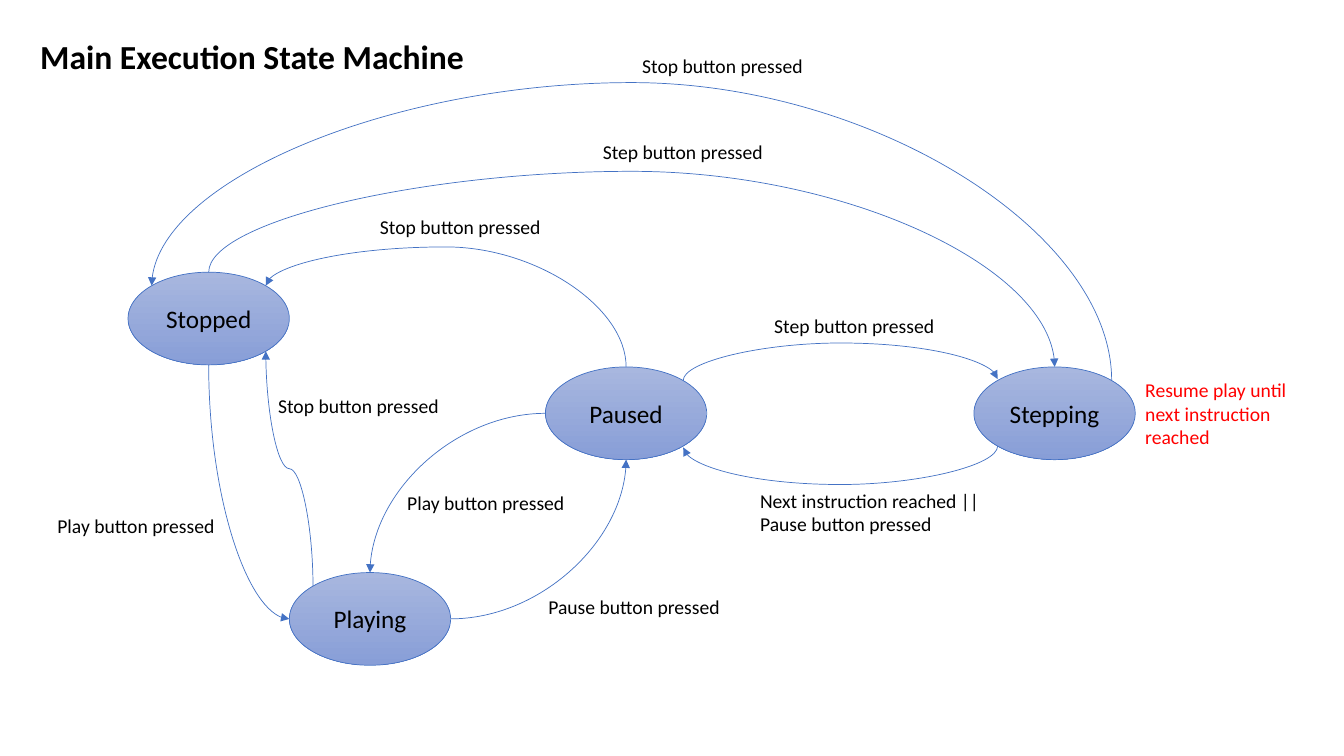
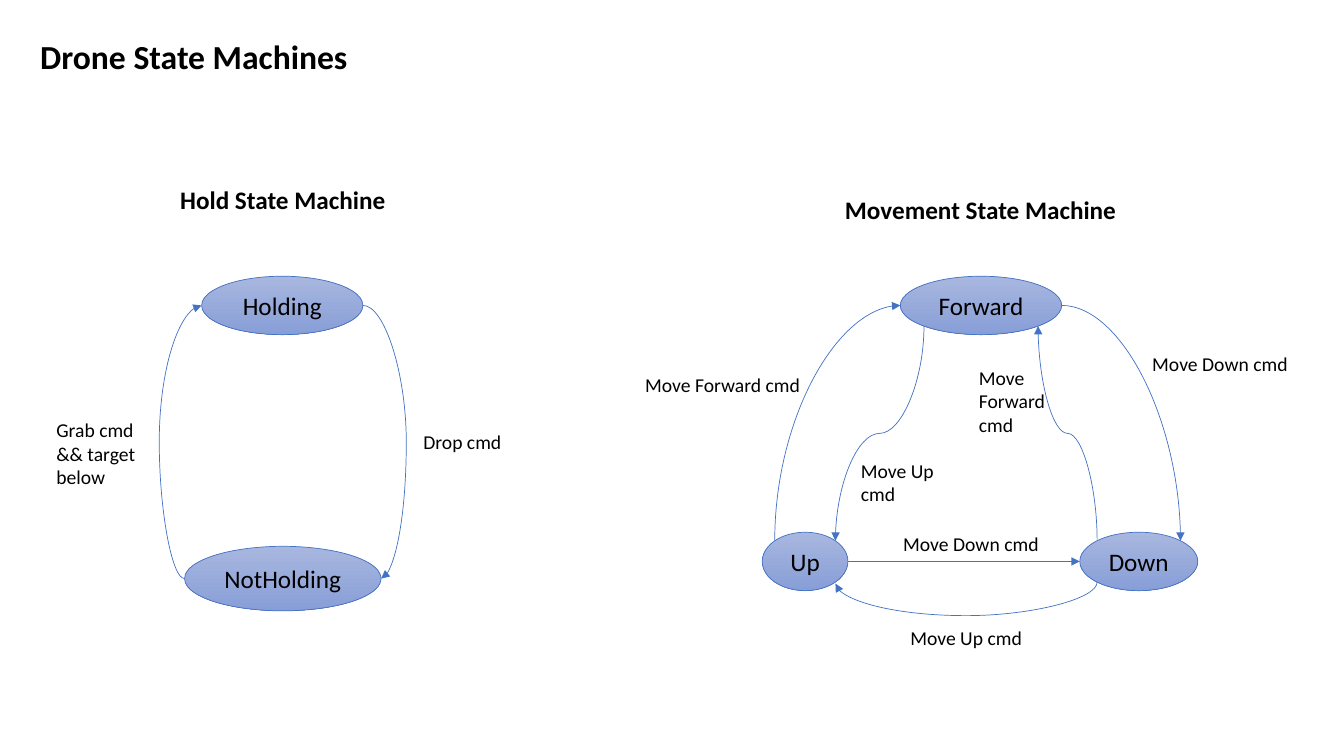
import math

import lxml.etree
import pptx
import pptx.dml.color
import pptx.enum.shapes
import pptx.enum.text
import pptx.oxml.ns
import pptx.util

Inches = pptx.util.Inches
qn = pptx.oxml.ns.qn
PP_ALIGN = pptx.enum.text.PP_ALIGN
CONNECTOR = pptx.enum.shapes.MSO_CONNECTOR

COLORS = {
    "text": "000000",
    "note": "FF0000",
    "line": "4472C4",
    "state_top": "A8B7DF",
    "state_bottom": "889ED7",
}
FONT = "Calibri"
LINE_WIDTH = pptx.util.Pt(0.5)
MIN_SPAN = 12700

TOP, TOP_LEFT, LEFT, BOTTOM_LEFT, BOTTOM, BOTTOM_RIGHT, RIGHT, TOP_RIGHT = range(8)


def rgb(name):
    return pptx.dml.color.RGBColor.from_string(COLORS[name])


def add_run(p, text, size, color="text", bold=False):
    r = p.add_run()
    r.text = text
    r.font.name = FONT
    r.font.size = pptx.util.Pt(size)
    r.font.bold = bold
    r.font.color.rgb = rgb(color)


def add_text(slide, x, y, w, h, text, size=14, color="text", bold=False,
             align=PP_ALIGN.LEFT, wrap=False):
    sp = slide.shapes.add_textbox(Inches(x), Inches(y), Inches(w), Inches(h))
    tf = sp.text_frame
    tf.word_wrap = wrap
    tf.auto_size = pptx.enum.text.MSO_AUTO_SIZE.SHAPE_TO_FIT_TEXT
    for i, line in enumerate(text.split("\n")):
        p = tf.add_paragraph() if i else tf.paragraphs[0]
        p.alignment = align
        add_run(p, line, size, color, bold)


def add_title(slide, w, text):
    add_text(slide, 0.3, 0.31, w, 0.5, text, size=24, bold=True)


def add_heading(slide, x, y, w, text):
    add_text(slide, x, y, w, 0.4, text, size=18, bold=True, align=PP_ALIGN.CENTER)


def add_labels(slide, labels):
    for x, y, w, text in labels:
        add_text(slide, x, y, w, 0.34, text)


def add_state(slide, x, y, text, w=1.6, h=0.92):
    sp = slide.shapes.add_shape(pptx.enum.shapes.MSO_SHAPE.OVAL,
                                Inches(x), Inches(y), Inches(w), Inches(h))
    sp.shadow.inherit = False
    sp.fill.gradient()
    sp.fill.gradient_angle = 270
    for stop, name in zip(sp.fill.gradient_stops, ("state_top", "state_bottom")):
        stop.color.rgb = rgb(name)
    sp.line.color.rgb = rgb("line")
    sp.line.width = LINE_WIDTH
    tf = sp.text_frame
    tf.word_wrap = True
    tf.vertical_anchor = pptx.enum.text.MSO_ANCHOR.MIDDLE
    p = tf.paragraphs[0]
    p.alignment = PP_ALIGN.CENTER
    add_run(p, text, 18)
    return sp


def site_point(sp, site):
    angle = math.radians(90 + 45 * site)
    return (sp.left + sp.width / 2 * (1 + math.cos(angle)),
            sp.top + sp.height / 2 * (1 - math.sin(angle)))


def finish_arrow(c, start, start_site, end, end_site):
    c.line.color.rgb = rgb("line")
    c.line.width = LINE_WIDTH
    sppr = c.element.spPr
    lxml.etree.SubElement(sppr.find(qn("a:ln")), qn("a:tailEnd"), type="triangle")
    lxml.etree.SubElement(sppr, qn("a:effectLst"))
    joints = c.element.find(".//" + qn("p:cNvCxnSpPr"))
    for tag, sp, site in (("a:stCxn", start, start_site), ("a:endCxn", end, end_site)):
        lxml.etree.SubElement(joints, qn(tag), id=str(sp.shape_id), idx=str(site))


def add_straight(slide, start, start_site, end, end_site):
    points = site_point(start, start_site) + site_point(end, end_site)
    c = slide.shapes.add_connector(CONNECTOR.STRAIGHT, *map(round, points))
    finish_arrow(c, start, start_site, end, end_site)


def add_curve(slide, start, start_site, end, end_site, bend=None):
    x1, y1 = site_point(start, start_site)
    x2, y2 = site_point(end, end_site)
    dx, dy = x2 - x1, y2 - y1
    sideways = start_site in (LEFT, RIGHT)
    adjust = None
    if bend is not None:
        reach = Inches(bend) - (x1 if sideways else y1)
        span = dx if sideways else dy
        if abs(span) < MIN_SPAN:
            span = math.copysign(MIN_SPAN, reach)
        adjust = reach / span
        dx, dy = (span, dy) if sideways else (dx, span)

    if sideways:
        turned = start_site == LEFT
        rot = 180 if turned else 0
        flip_h, flip_v = (dx < 0) != turned, (dy < 0) != turned
        w, h = abs(dx), abs(dy)
    else:
        rot = 90 if dx * dy < 0 else 270
        flip_h, flip_v = dx > 0, dy < 0
        w, h = abs(dy), abs(dx)

    left, top = x1 + dx / 2 - w / 2, y1 + dy / 2 - h / 2
    c = slide.shapes.add_connector(CONNECTOR.CURVE, *map(round, (left, top, left + w, top + h)))
    xfrm = c.element.spPr.find(qn("a:xfrm"))
    xfrm.set("rot", str(rot * 60000))
    xfrm.set("flipH", str(int(flip_h)))
    xfrm.set("flipV", str(int(flip_v)))
    geom = c.element.spPr.find(qn("a:prstGeom"))
    if adjust is None:
        geom.set("prst", "curvedConnector2")
    else:
        lxml.etree.SubElement(geom.find(qn("a:avLst")), qn("a:gd"),
                              name="adj1", fmla=f"val {round(adjust * 100000)}")
    finish_arrow(c, start, start_site, end, end_site)


def build_execution(slide):
    add_title(slide, 4.45, "Main Execution State Machine")
    stopped = add_state(slide, 1.27, 2.7, "Stopped")
    playing = add_state(slide, 2.87, 5.68, "Playing")
    paused = add_state(slide, 5.41, 3.64, "Paused")
    stepping = add_state(slide, 9.66, 3.64, "Stepping")

    for curve in (
        (stopped, BOTTOM, playing, LEFT),
        (playing, RIGHT, paused, BOTTOM),
        (paused, LEFT, playing, TOP),
        (paused, TOP, stopped, TOP_RIGHT, 2.45),
        (paused, TOP_RIGHT, stepping, TOP_LEFT, 3.4),
        (stepping, BOTTOM_LEFT, paused, BOTTOM_RIGHT, 4.81),
        (stopped, TOP, stepping, TOP, 1.7),
        (playing, TOP_LEFT, stopped, BOTTOM_RIGHT, 4.65),
        (stepping, TOP_RIGHT, stopped, TOP_LEFT, 0.82),
    ):
        add_curve(slide, *curve)

    add_labels(slide, (
        (0.47, 5.05, 1.78, "Play button pressed"),
        (5.34, 5.85, 1.93, "Pause button pressed"),
        (3.67, 2.08, 1.82, "Stop button pressed"),
        (3.94, 4.82, 1.78, "Play button pressed"),
        (7.58, 3.07, 1.81, "Step button pressed"),
        (5.88, 1.34, 1.81, "Step button pressed"),
        (2.66, 3.86, 1.82, "Stop button pressed"),
        (6.27, 0.49, 1.82, "Stop button pressed"),
    ))
    add_text(slide, 7.44, 4.8, 2.4, 0.57,
             "Next instruction reached ||\nPause button pressed")
    add_text(slide, 11.26, 3.7, 1.72, 0.81,
             "Resume play until next instruction reached", color="note", wrap=True)


def build_drone(slide):
    add_title(slide, 3.28, "Drone State Machines")

    add_heading(slide, 1.68, 1.78, 2.25, "Hold State Machine")
    holding = add_state(slide, 2, 2.74, "Holding", h=0.58)
    not_holding = add_state(slide, 1.83, 5.42, "NotHolding", w=1.95, h=0.64)

    add_heading(slide, 8.27, 1.88, 2.91, "Movement State Machine")
    forward = add_state(slide, 8.93, 2.74, "Forward", h=0.58)
    up = add_state(slide, 7.56, 5.28, "Up", w=0.85, h=0.58)
    down = add_state(slide, 10.71, 5.28, "Down", w=1.17, h=0.58)

    for curve in (
        (not_holding, LEFT, holding, LEFT, 1.58),
        (holding, RIGHT, not_holding, RIGHT, 4.03),
        (up, TOP_LEFT, forward, LEFT),
        (forward, RIGHT, down, TOP_RIGHT),
        (down, BOTTOM_LEFT, up, BOTTOM_RIGHT, 6.11),
        (forward, BOTTOM_LEFT, up, TOP_RIGHT, 4.3),
        (down, TOP_LEFT, forward, BOTTOM_RIGHT, 4.3),
    ):
        add_curve(slide, *curve)
    add_straight(slide, up, RIGHT, down, LEFT)

    add_labels(slide, (
        (4.1, 4.22, 0.98, "Drop cmd"),
        (6.3, 3.65, 1.75, "Move Forward cmd"),
        (11.33, 3.44, 1.56, "Move Down cmd"),
        (8.93, 6.16, 1.32, "Move Up cmd"),
        (8.86, 5.23, 1.56, "Move Down cmd"),
    ))
    for x, y, w, h, text in (
        (0.46, 4.1, 1.11, 0.81, "Grab cmd && target below"),
        (9.61, 3.58, 1.13, 0.81, "Move Forward cmd"),
        (8.44, 4.5, 1.04, 0.57, "Move Up cmd"),
    ):
        add_text(slide, x, y, w, h, text, wrap=True)


def main():
    prs = pptx.Presentation()
    prs.slide_width = Inches(13.33)
    prs.slide_height = Inches(7.5)
    for build in (build_execution, build_drone):
        build(prs.slides.add_slide(prs.slide_layouts[6]))
    prs.save("out.pptx")


if __name__ == "__main__":
    main()
